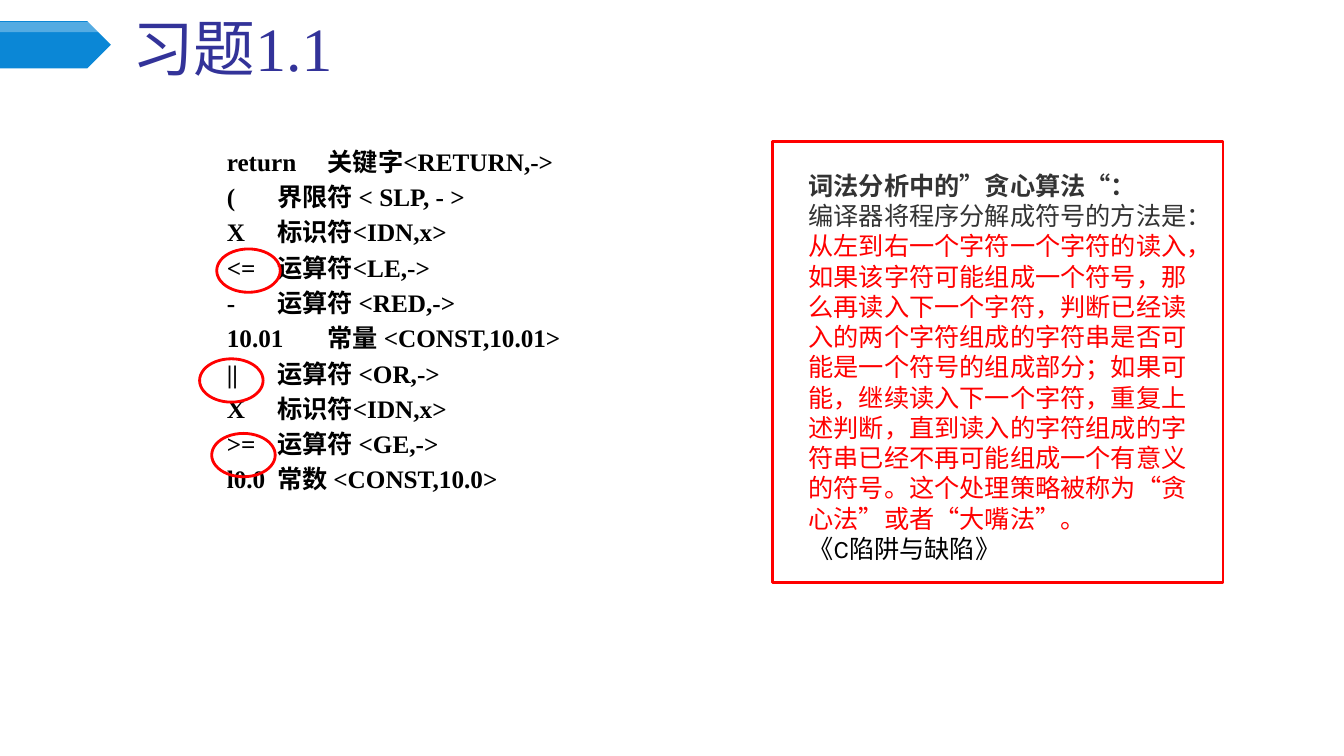
import lxml.etree
import pptx
import pptx.dml.color
import pptx.enum.shapes
import pptx.enum.text
import pptx.oxml.ns
import pptx.util

Inches = pptx.util.Inches
Pt = pptx.util.Pt
RGBColor = pptx.dml.color.RGBColor
SHAPE = pptx.enum.shapes.MSO_SHAPE
ANCHOR = pptx.enum.text.MSO_ANCHOR
LEFT = pptx.enum.text.PP_ALIGN.LEFT
qn = pptx.oxml.ns.qn

BLUE = RGBColor(0x0B, 0x87, 0xD6)
NAVY = RGBColor(0x33, 0x33, 0x99)
GRAY = RGBColor(0x33, 0x33, 0x33)
RED = RGBColor(0xFF, 0x00, 0x00)
BLACK = RGBColor(0x00, 0x00, 0x00)
WHITE = RGBColor(0xFF, 0xFF, 0xFF)
SERIF = "Times New Roman"
CJK = "Noto Sans CJK SC"

TOKENS = [
    ("return", 1.87, "关键字<RETURN,->"),
    ("(", 1.96, "界限符 < SLP, - >"),
    ("X", 1.99, "标识符<IDN,x>"),
    ("<=", 2.03, "运算符<LE,->"),
    ("-", 2.08, "运算符 <RED,->"),
    ("10.01", 2.19, "常量 <CONST,10.01>"),
    ("||", 1.98, "运算符 <OR,->"),
    ("X", 1.8, "标识符<IDN,x>"),
    (">=", 1.84, "运算符 <GE,->"),
    ("l0.0", 2.01, "常数 <CONST,10.0>"),
]
CIRCLES = [(0, 1.07), (-0.17, 2.16), (-0.05, 2.9)]
GREEDY = [
    [("词法分析中的”贪心算法“：", dict(bold=True))],
    [
        ("编译器将程序分解成符号的方法是：", {}),
        ("从左到右一个字符一个字符的读入，如果该字符可能组成一个符号，"
         "那么再读入下一个字符，判断已经读入的两个字符组成的字符串是否可能"
         "是一个符号的组成部分；如果可能，继续读入下一个字符，重复上述判断，"
         "直到读入的字符组成的字符串已经不再可能组成一个有意义的符号。"
         "这个处理策略被称为“贪心法”或者“大嘴法”。", dict(color=RED)),
    ],
    [("《C陷阱与缺陷》", dict(color=BLACK, font="Karla"))],
]


def add_text(p, text, size=18, color=GRAY, font=CJK, bold=False):
    """Add a formatted run to a paragraph."""
    r = p.add_run()
    r.text = text
    r.font.size = Pt(size)
    r.font.color.rgb = color
    r.font.name = font
    r.font.bold = bold
    ea = lxml.etree.Element(qn("a:ea"), typeface=CJK)
    r.font._element.find(qn("a:latin")).addnext(ea)


def add_shape(s, kind, x, y, w, h, fill=None, line=None):
    """Add a flat preset shape with an optional fill and outline."""
    sp = s.shapes.add_shape(kind, Inches(x), Inches(y), Inches(w), Inches(h))
    sp.shadow.inherit = False
    if fill is None:
        sp.fill.background()
    else:
        sp.fill.solid()
        sp.fill.fore_color.rgb = fill
    if line is None:
        sp.line.fill.background()
    else:
        sp.line.color.rgb = line
        sp.line.width = Pt(2)
    return sp


def place(sp, x, y, w, h):
    """Move a text shape and return its wrapped text frame."""
    sp.left, sp.top, sp.width, sp.height = map(Inches, (x, y, w, h))
    tf = sp.text_frame
    tf.word_wrap = True
    tf.auto_size = pptx.enum.text.MSO_AUTO_SIZE.NONE
    return tf


def next_paragraph(tf, i):
    """Return the first paragraph for index 0 and a new one otherwise."""
    return tf.add_paragraph() if i else tf.paragraphs[0]


def add_header(s, x, y, w, h):
    """Place the arrow banner and the slide title."""
    add_shape(s, SHAPE.PENTAGON, x, y, 1.1, 0.47, fill=BLUE)
    sp = add_shape(s, SHAPE.PENTAGON, x, y + 0.01, 1.1, 0.1, fill=WHITE)
    clr = sp.fill._xPr.find(qn("a:solidFill"))[0]
    lxml.etree.SubElement(clr, qn("a:alpha"), val="30000")
    tf = place(s.shapes.title, x + 1.21, y - 0.03, w - 1.5, h)
    tf.vertical_anchor = ANCHOR.BOTTOM
    p = tf.paragraphs[0]
    p.alignment = LEFT
    add_text(p, "习题1.1", size=44, color=NAVY, font=SERIF)


def add_tokens(s, x, y, w, h):
    """List the tokens with their classes and circle the long operators."""
    tf = place(s.placeholders[1], x, y, w, h)
    tf.vertical_anchor = ANCHOR.TOP
    for i, (token, stop, kind) in enumerate(TOKENS):
        p = next_paragraph(tf, i)
        pPr = p._p.get_or_add_pPr()
        pPr.set("marL", "0")
        pPr.set("indent", "0")
        lxml.etree.SubElement(pPr, qn("a:buNone"))
        tabs = lxml.etree.SubElement(pPr, qn("a:tabLst"))
        lxml.etree.SubElement(tabs, qn("a:tab"), pos=str(Inches(stop)), algn="l")
        p.alignment = LEFT
        p.space_before = Pt(3.6 if i else 0)
        add_text(p, f"{token}\t{kind}", color=BLACK, font=SERIF, bold=True)
    for dx, dy in CIRCLES:
        add_shape(s, SHAPE.OVAL, x + dx, y + dy, 0.63, 0.43, line=RED)


def add_greedy_note(s, x, y, w, h):
    """Explain the greedy method inside a red frame."""
    add_shape(s, SHAPE.RECTANGLE, x, y, w, h, line=RED)
    sp = s.shapes.add_textbox(0, 0, 0, 0)
    tf = place(sp, x + 0.26, y + 0.24, w - 0.49, h - 0.34)
    for i, runs in enumerate(GREEDY):
        p = next_paragraph(tf, i)
        for text, style in runs:
            add_text(p, text, **style)


def main():
    """Build the exercise slide and save it."""
    prs = pptx.Presentation()
    prs.slide_width = Inches(13.33)
    prs.slide_height = Inches(7.5)
    s = prs.slides.add_slide(prs.slide_layouts[1])
    add_header(s, 0, 0.21, 13.33, 0.7)
    add_tokens(s, 2.15, 1.4, 5.4, 4.2)
    add_greedy_note(s, 7.66, 1.4, 4.47, 4.38)
    prs.save("out.pptx")


if __name__ == "__main__":
    main()
